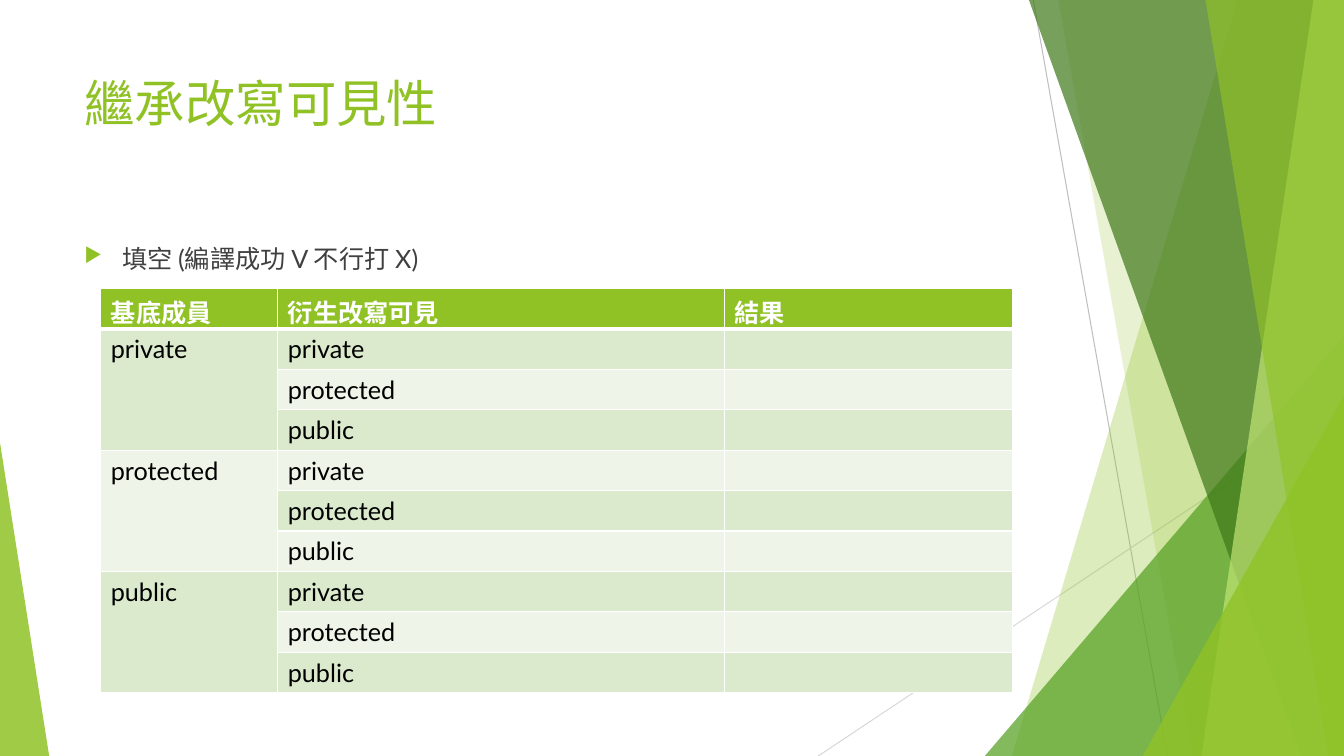
import pptx
import pptx.dml.color
import pptx.enum.shapes
import pptx.oxml
import pptx.oxml.ns
import pptx.util
from pptx.util import Cm

SLIDE_W, SLIDE_H = 33.87, 19.05
FONT = "Lato"
GREEN = "90C226"
BANDS = ("DBE9CD", "EEF4E8")
LEVELS = ("private", "protected", "public")
HEADINGS = ("基底成員", "衍生改寫可見", "結果")


def color(hex_code):
    return pptx.dml.color.RGBColor.from_string(hex_code)


def element(xml):
    """Parse one drawing element, adding the namespace to its tag."""
    tag, rest = xml[:-2].partition(" ")[::2] if xml.endswith("/>") else (xml, "")
    return pptx.oxml.parse_xml(f"<a:{tag} {pptx.oxml.ns.nsdecls('a')} {rest}/>")


def style_font(paragraph, size, hex_code, bold=False):
    for run in paragraph.runs:
        run.font.name = FONT
        run.font.size = pptx.util.Pt(size)
        run.font.bold = bold
        run.font.color.rgb = color(hex_code)


# Background facets
def paint(facet, hex_code, opacity):
    facet.shadow.inherit = False
    facet.line.fill.background()
    facet.fill.solid()
    facet.fill.fore_color.rgb = color(hex_code)
    tint = facet.fill._xPr.find(".//" + pptx.oxml.ns.qn("a:srgbClr"))
    tint.append(element(f'alpha val="{opacity * 1000}"/>'))


def add_ray(slide, start, end, hex_code):
    ray = slide.shapes.add_connector(
        pptx.enum.shapes.MSO_CONNECTOR.STRAIGHT, *map(Cm, start + end))
    ray.line.color.rgb = color(hex_code)
    ray.line.width = pptx.util.Pt(0.75)
    ray._element.spPr.append(element("effectLst"))


def add_panel(slide, top_x, bottom_x, hex_code, opacity):
    """Slanted panel reaching from its left edge to the slide's right edge."""
    builder = slide.shapes.build_freeform(Cm(top_x), 0)
    builder.add_line_segments([(Cm(SLIDE_W), 0), (Cm(SLIDE_W), Cm(SLIDE_H)),
                               (Cm(bottom_x), Cm(SLIDE_H))], close=True)
    paint(builder.convert_to_shape(), hex_code, opacity)


def add_corner(slide, left, top, width, apex, hex_code, opacity):
    """Triangle standing on the slide's bottom edge."""
    corner = slide.shapes.add_shape(
        pptx.enum.shapes.MSO_SHAPE.ISOSCELES_TRIANGLE,
        Cm(left), Cm(top), Cm(width), Cm(SLIDE_H - top))
    corner.adjustments[0] = apex
    paint(corner, hex_code, opacity)


def add_backdrop(slide):
    add_ray(slide, (26.04, 0), (29.42, SLIDE_H), "BFBFBF")
    add_ray(slide, (SLIDE_W, 10.23), (20.62, SLIDE_H), "D9D9D9")
    add_panel(slide, 31.19, 25.5, GREEN, 30)
    add_panel(slide, 26.67, 30.05, GREEN, 20)
    add_corner(slide, 24.82, 8.46, SLIDE_W - 24.82, 1, "54A021", 72)
    add_panel(slide, 25.93, 32.79, "3F7819", 70)
    add_panel(slide, 33.1, 30.28, "C0E474", 70)
    add_panel(slide, 30.38, 33.48, GREEN, 65)
    add_corner(slide, 28.8, 9.98, SLIDE_W - 28.8, 1, GREEN, 80)
    add_corner(slide, 0, 11.15, 1.24, 0, GREEN, 85)


# Title and instruction
def add_text(slide, box, text, size, hex_code):
    frame = slide.shapes.add_textbox(*map(Cm, box)).text_frame
    frame.word_wrap = True
    frame.text = text
    style_font(frame.paragraphs[0], size, hex_code)
    return frame.paragraphs[0]


def add_instruction(slide, box, text):
    instruction = add_text(slide, box, text, 18, "404040")
    properties = instruction._p.get_or_add_pPr()
    properties.set("marL", str(Cm(0.95)))
    properties.set("indent", str(-Cm(0.95)))
    bullet_color = element("buClr")
    bullet_color.append(element(f'srgbClr val="{GREEN}"/>'))
    properties.append(bullet_color)
    properties.append(element('buSzPct val="80000"/>'))
    properties.append(element('buChar char="▶"/>'))


# Visibility table
def fill_cell(cell, text, fill, ink="000000", bold=False, bottom=1):
    cell.text = text
    style_font(cell.text_frame.paragraphs[0], 18, ink, bold)
    properties = cell._tc.get_or_add_tcPr()
    for side, points in (("L", 1), ("R", 1), ("T", 1), ("B", bottom)):
        border = element(f'ln{side} w="{pptx.util.Pt(points)}"/>')
        solid = element("solidFill")
        solid.append(element('srgbClr val="FFFFFF"/>'))
        border.append(solid)
        properties.append(border)
    cell.fill.solid()
    cell.fill.fore_color.rgb = color(fill)


def add_visibility_table(slide, box):
    row_count = 1 + len(LEVELS) ** 2
    table = slide.shapes.add_table(row_count, len(HEADINGS), *map(Cm, box)).table
    for column, width in zip(table.columns, (4.46, 11.25, 7.26)):
        column.width = Cm(width)
    for row in table.rows:
        row.height = Cm(box[3] / row_count)

    for column, heading in enumerate(HEADINGS):
        fill_cell(table.cell(0, column), heading, GREEN, "FFFFFF", True, 3)
    for index in range(row_count - 1):
        base, derived = divmod(index, len(LEVELS))
        row, band = index + 1, BANDS[index % 2]
        fill_cell(table.cell(row, 0), "" if derived else LEVELS[base], band)
        fill_cell(table.cell(row, 1), LEVELS[derived], band)
        fill_cell(table.cell(row, 2), "", band)
    for row in range(1, row_count, len(LEVELS)):
        table.cell(row, 0).merge(table.cell(row + len(LEVELS) - 1, 0))


def main():
    deck = pptx.Presentation()
    deck.slide_width, deck.slide_height = Cm(SLIDE_W), Cm(SLIDE_H)
    slide = deck.slides.add_slide(deck.slide_layouts[6])
    add_backdrop(slide)
    add_text(slide, (1.88, 1.7, 23.88, 3.66), "繼承改寫可見性", 36, GREEN)
    add_instruction(slide, (1.88, 6, 23.88, 10.77), "填空 (編譯成功 V 不行打 X)")
    add_visibility_table(slide, (2.54, 7.27, 22.97, 10.18))
    deck.save("out.pptx")


if __name__ == "__main__":
    main()
